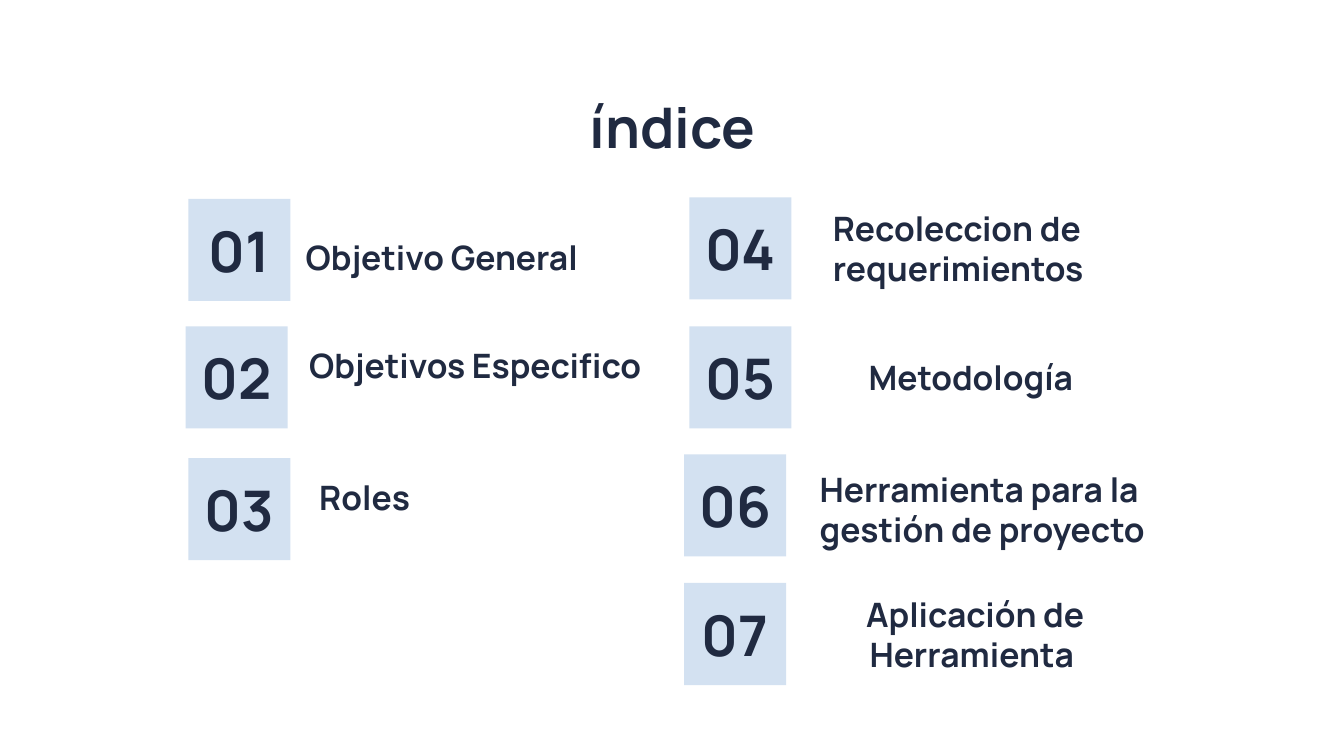
from pptx import Presentation
from pptx.dml.color import RGBColor as Rgb
from pptx.enum.shapes import MSO_SHAPE as Kind
from pptx.enum.text import MSO_ANCHOR as Anchor, PP_ALIGN as Align
from pptx.util import Cm, Pt

HUES = {"ink": "202A41", "tile": "D3E1F1", "page": "FFFFFF"}
FONT = "Manrope"
SIDE = 1.93

ITEMS = [
    ("01", 3.56, 3.76, "Objetivo General", 3.78, 3.89, 9.14, Align.CENTER),
    ("02", 3.51, 6.17, "Objetivos Especifico", 3.56, 5.94, 8.81, Align.RIGHT),
    ("03", 3.56, 8.66, "Roles ", 3.78, 8.43, 6.35, Align.CENTER),
    ("04", 13.03, 3.73, "Recoleccion de requerimientos", 15.49, 3.73, 6.35, Align.LEFT),
    ("05", 13.03, 6.17, "Metodología ", 15.24, 6.17, 6.35, Align.CENTER),
    ("06", 12.93, 8.59, "Herramienta para la gestión de proyecto", 15.24, 8.66, 7.57, Align.LEFT),
    ("07", 12.93, 11.02, "Aplicación de Herramienta ", 14.99, 11.02, 6.88, Align.CENTER),
]


class Deck:
    def __init__(self):
        self.prs = Presentation()
        self.prs.slide_width = Cm(25.4)
        self.prs.slide_height = Cm(14.29)
        self.slide = self.prs.slides.add_slide(self.prs.slide_layouts[6])
        fill = self.slide.background.fill
        fill.solid()
        fill.fore_color.rgb = Rgb.from_string(HUES["page"])

    def text(self, shape, words, size, align, anchor):
        frame = shape.text_frame
        frame.word_wrap = True
        frame.vertical_anchor = anchor
        frame.margin_left = frame.margin_right = Cm(0.25)
        frame.margin_top = frame.margin_bottom = Cm(0.25)
        para = frame.paragraphs[0]
        para.alignment = align
        run = para.add_run()
        run.text = words
        run.font.name = FONT
        run.font.size = Pt(size)
        run.font.bold = True
        run.font.color.rgb = Rgb.from_string(HUES["ink"])

    def label(self, words, left, top, width, height=SIDE, size=18,
              align=Align.CENTER, anchor=Anchor.MIDDLE):
        box = self.slide.shapes.add_textbox(Cm(left), Cm(top), Cm(width), Cm(height))
        self.text(box, words, size, align, anchor)

    def tile(self, words, left, top):
        box = self.slide.shapes.add_shape(
            Kind.RECTANGLE, Cm(left), Cm(top), Cm(SIDE), Cm(SIDE))
        box.shadow.inherit = False
        box.fill.solid()
        box.fill.fore_color.rgb = Rgb.from_string(HUES["tile"])
        box.line.fill.background()
        self.text(box, words, 30, Align.CENTER, Anchor.MIDDLE)


def main():
    deck = Deck()
    deck.label("índice", 2.01, 1.5, 21.41, 1.6, size=30, anchor=Anchor.TOP)
    for num, left, top, words, x, y, width, align in ITEMS:
        deck.tile(num, left, top)
        deck.label(words, x, y, width, align=align)
    deck.prs.save("out.pptx")


if __name__ == "__main__":
    main()
